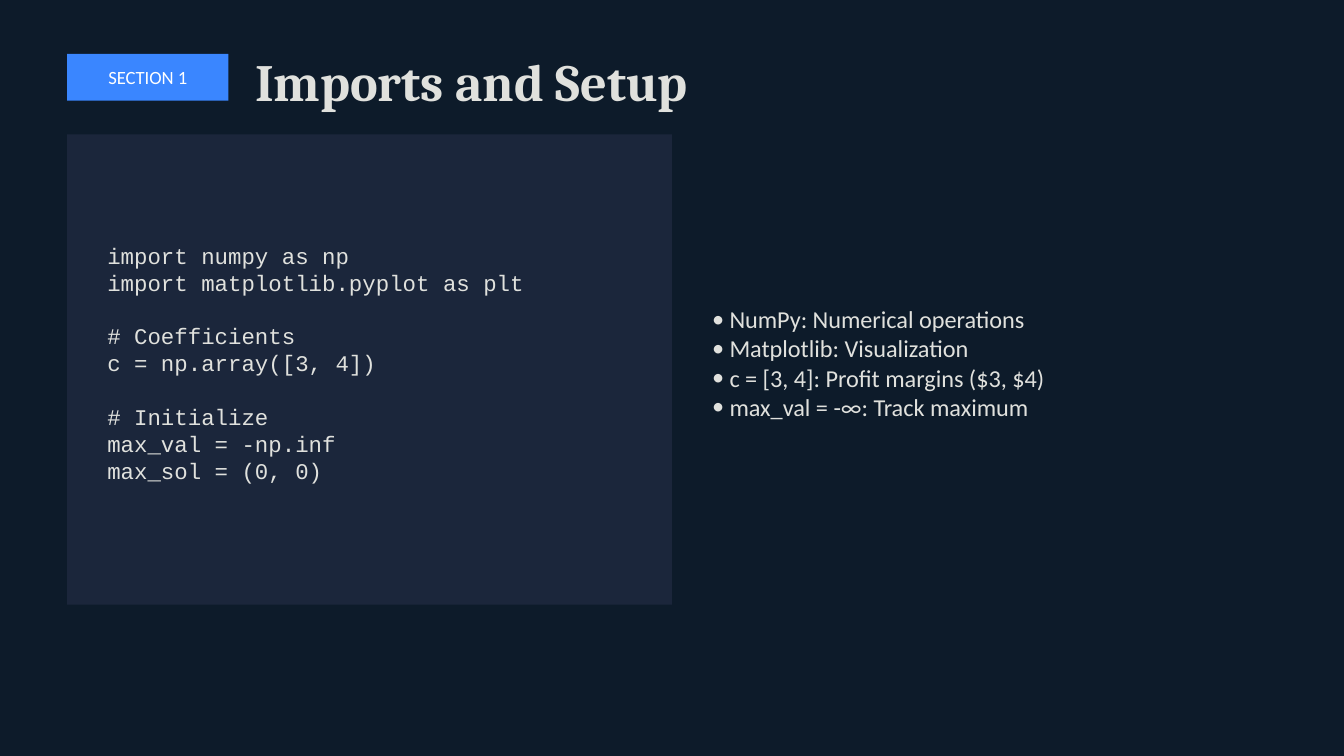
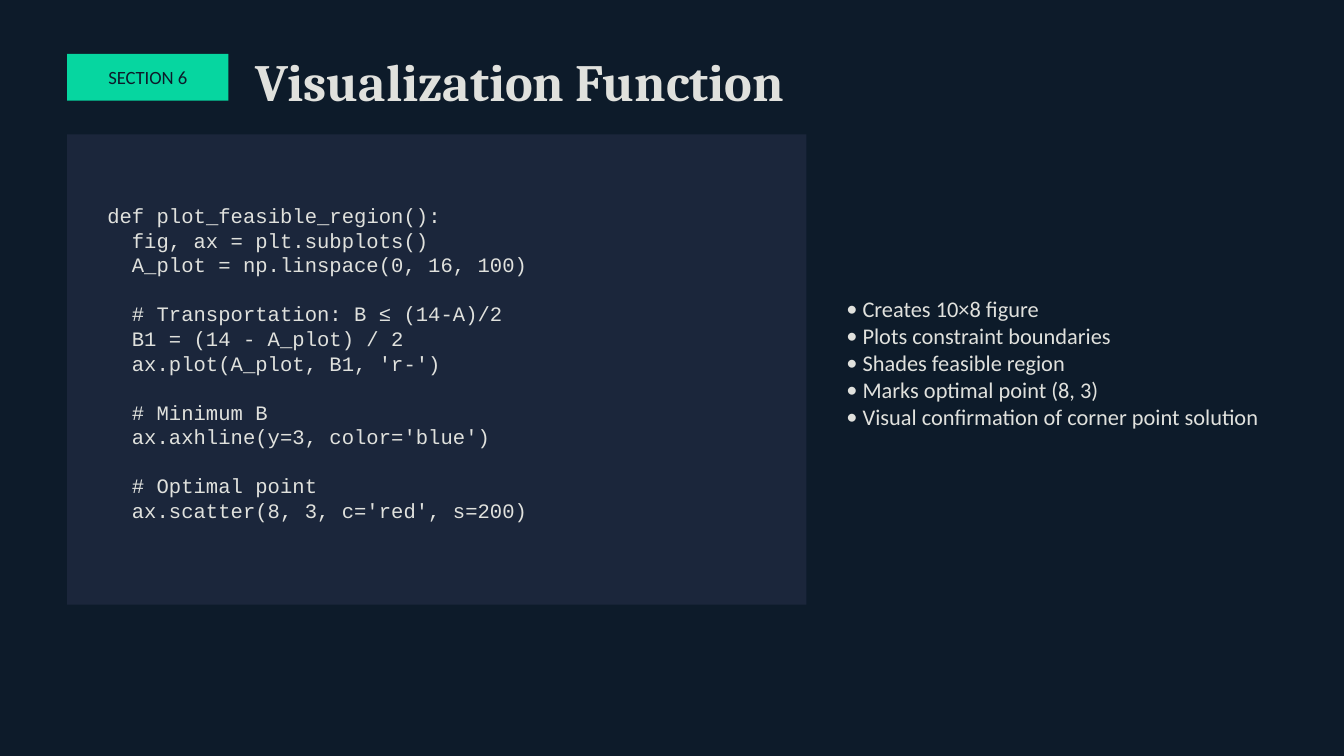
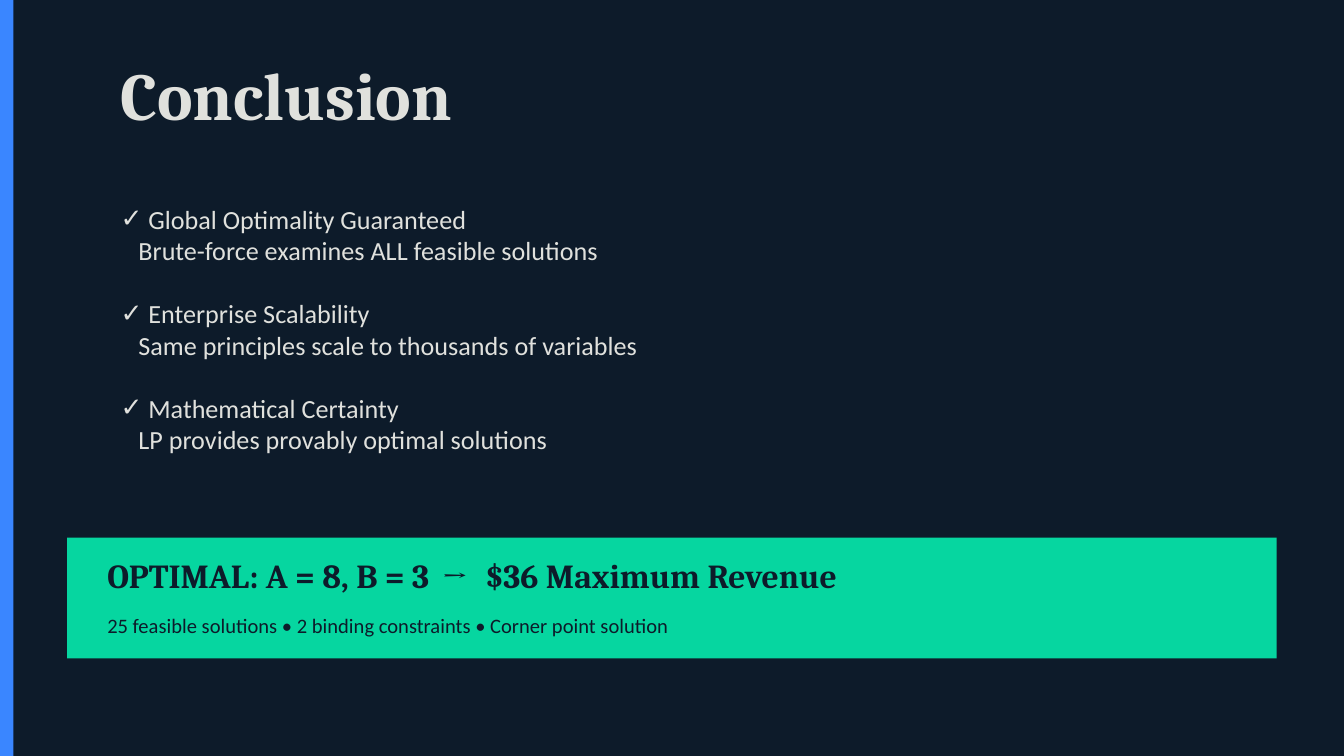
"""Build three slides on solving a linear program by brute force."""
from dataclasses import dataclass

from lxml.etree import SubElement as Sub
from pptx import Presentation as Deck
from pptx.dml.color import RGBColor as Color
from pptx.enum.shapes import MSO_SHAPE as Shape
from pptx.enum.text import MSO_ANCHOR as Anchor, PP_ALIGN as Align
from pptx.oxml.ns import qn
from pptx.util import Emu, Pt

SCALE = 4572
WIDE, HIGH = 2000, 1125


@dataclass(frozen=True)
class Look:
    """Type style of a text."""
    font: str
    size: int
    color: str
    bold: bool = False


@dataclass(frozen=True)
class Line:
    """One paragraph, with its gap, margin and bullet in points."""
    text: str
    gap: float = 0
    left: float = 0
    mark: str = ""


@dataclass(frozen=True)
class Theme:
    """Colours, fonts and type sizes of the deck."""
    night: str = "0D1B2A"
    panel: str = "1B263B"
    pale: str = "E0E1DD"
    white: str = "FFFFFF"
    blue: str = "3A86FF"
    green: str = "06D6A0"
    serif: str = "Cambria"
    sans: str = "Calibri"
    mono: str = "Courier New"
    tag: int = 10
    small: int = 11
    base: int = 12
    note: int = 13
    list: int = 14
    fact: int = 18
    title: int = 28
    close: int = 36


THEME = Theme()


def px(*nums):
    """Turn px lengths into EMU."""
    return [Emu(num * SCALE) for num in nums]


def style(run, look):
    """Apply a type style to a run."""
    font = run.font
    font.name, font.size, font.bold = look.font, Pt(look.size), look.bold
    font.color.rgb = Color.from_string(look.color)


def indent(para, line, face):
    """Set the margin and bullet of a paragraph."""
    props = para._p.get_or_add_pPr()
    props.set("marL", str(Pt(line.left)))
    props.set("indent", str(-Pt(line.left) if line.mark else 0))
    if line.mark:
        Sub(props, qn("a:buFont")).set("typeface", face)
        Sub(props, qn("a:buChar")).set("char", line.mark)


def write(frame, lines, look, align=Align.LEFT):
    """Fill a text frame with styled lines."""
    frame.word_wrap = True
    frame.vertical_anchor = Anchor.MIDDLE
    frame.text = "\n".join(line.text for line in lines)
    for para, line in zip(frame.paragraphs, lines):
        para.alignment = align
        para.space_before = Pt(line.gap)
        indent(para, line, look.font)
        for run in para.runs:
            style(run, look)


def label(slide, box, lines, look):
    """Add a text box and return its frame."""
    frame = slide.shapes.add_textbox(*px(*box)).text_frame
    write(frame, lines, look)
    return frame


def block(slide, box, color):
    """Add a plain filled rectangle."""
    shape = slide.shapes.add_shape(Shape.RECTANGLE, *px(*box))
    shape.shadow.inherit = False
    shape.fill.solid()
    shape.fill.fore_color.rgb = Color.from_string(color)
    shape.line.fill.background()
    return shape


def page(deck):
    """Add a blank slide on the night ground."""
    slide = deck.slides.add_slide(deck.slide_layouts[6])
    ground = slide.background.fill
    ground.solid()
    ground.fore_color.rgb = Color.from_string(THEME.night)
    return slide


def head(slide, tag, title, fill, ink):
    """Add the section tag and the title beside it."""
    badge = block(slide, (100, 80, 240, 70), fill)
    write(badge.text_frame, [Line(tag)],
          Look(THEME.sans, THEME.tag, ink), Align.CENTER)
    label(slide, (360, 70, 1200, 100), [Line(title)],
          Look(THEME.serif, THEME.title, THEME.pale, True))


def code(slide, width, parts, size):
    """Add the code panel, with a blank line's gap between parts."""
    block(slide, (100, 200, width, 700), THEME.panel)
    lines = []
    for part in parts:
        for row, text in enumerate(part):
            bare = text.lstrip()
            gap = 1.19 * size if lines and row == 0 else 0
            lines.append(Line(bare, gap, 0.6 * size * (len(text) - len(bare))))
    label(slide, (140, 240, width - 100, 600), lines,
          Look(THEME.mono, size, THEME.pale))


def notes(slide, left, width, items, size):
    """Add the bullet list beside the code."""
    lines = [Line(item, left=0.72 * size, mark="•") for item in items]
    label(slide, (left, 240, width, 600), lines,
          Look(THEME.sans, size, THEME.pale))


def claims(slide, pairs):
    """Add ticked claims, each with a line of proof."""
    size = THEME.list
    lines = []
    for claim, proof in pairs:
        gap = 1.22 * size if lines else 0
        lines += [Line(claim, gap, 14.8, "✓"), Line(proof, left=9.5)]
    label(slide, (160, 240, 1600, 500), lines,
          Look(THEME.sans, size, THEME.pale))


def result(slide, cause, gain, facts):
    """Add the result band with its arrow and facts."""
    block(slide, (100, 800, 1800, 180), THEME.green)
    look = Look(THEME.serif, THEME.fact, THEME.night, True)
    frame = label(slide, (140, 820, 1700, 70), [Line(cause)], look)
    para = frame.paragraphs[0]
    for text, space in ((" → ", 260), (gain, 0)):
        run = para.add_run()
        run.text = text
        style(run, look)
        run.font._element.set("spc", str(space))
    label(slide, (140, 900, 1700, 60), [Line(facts)],
          Look(THEME.sans, THEME.small, THEME.night))


def setup(deck):
    """Build the setup slide."""
    slide = page(deck)
    head(slide, "SECTION 1", "Imports and Setup", THEME.blue, THEME.white)
    code(slide, 900, (
        ("import numpy as np", "import matplotlib.pyplot as plt"),
        ("# Coefficients", "c = np.array([3, 4])"),
        ("# Initialize", "max_val = -np.inf", "max_sol = (0, 0)"),
    ), THEME.base)
    notes(slide, 1040, 800, (
        "NumPy: Numerical operations",
        "Matplotlib: Visualization",
        "c = [3, 4]: Profit margins ($3, $4)",
        "max_val = -∞: Track maximum",
    ), THEME.note)


def plot(deck):
    """Build the plotting slide."""
    slide = page(deck)
    head(slide, "SECTION 6", "Visualization Function",
         THEME.green, THEME.night)
    code(slide, 1100, (
        ("def plot_feasible_region():",
         "  fig, ax = plt.subplots()",
         "  A_plot = np.linspace(0, 16, 100)"),
        ("  # Transportation: B ≤ (14-A)/2",
         "  B1 = (14 - A_plot) / 2",
         "  ax.plot(A_plot, B1, 'r-')"),
        ("  # Minimum B", "  ax.axhline(y=3, color='blue')"),
        ("  # Optimal point", "  ax.scatter(8, 3, c='red', s=200)"),
    ), THEME.small)
    notes(slide, 1240, 660, (
        "Creates 10×8 figure",
        "Plots constraint boundaries",
        "Shades feasible region",
        "Marks optimal point (8, 3)",
        "Visual confirmation of corner point solution",
    ), THEME.base)


def close(deck):
    """Build the closing slide."""
    slide = page(deck)
    block(slide, (0, 0, 20, HIGH), THEME.blue)
    label(slide, (160, 80, 1600, 120), [Line("Conclusion")],
          Look(THEME.serif, THEME.close, THEME.pale, True))
    claims(slide, (
        ("Global Optimality Guaranteed",
         "Brute-force examines ALL feasible solutions"),
        ("Enterprise Scalability",
         "Same principles scale to thousands of variables"),
        ("Mathematical Certainty",
         "LP provides provably optimal solutions"),
    ))
    result(slide, "OPTIMAL: A = 8, B = 3", "$36 Maximum Revenue",
           "25 feasible solutions • 2 binding constraints"
           " • Corner point solution")


def main():
    """Build and save the deck."""
    deck = Deck()
    deck.slide_width, deck.slide_height = px(WIDE, HIGH)
    for build in (setup, plot, close):
        build(deck)
    deck.save("out.pptx")


if __name__ == "__main__":
    main()
